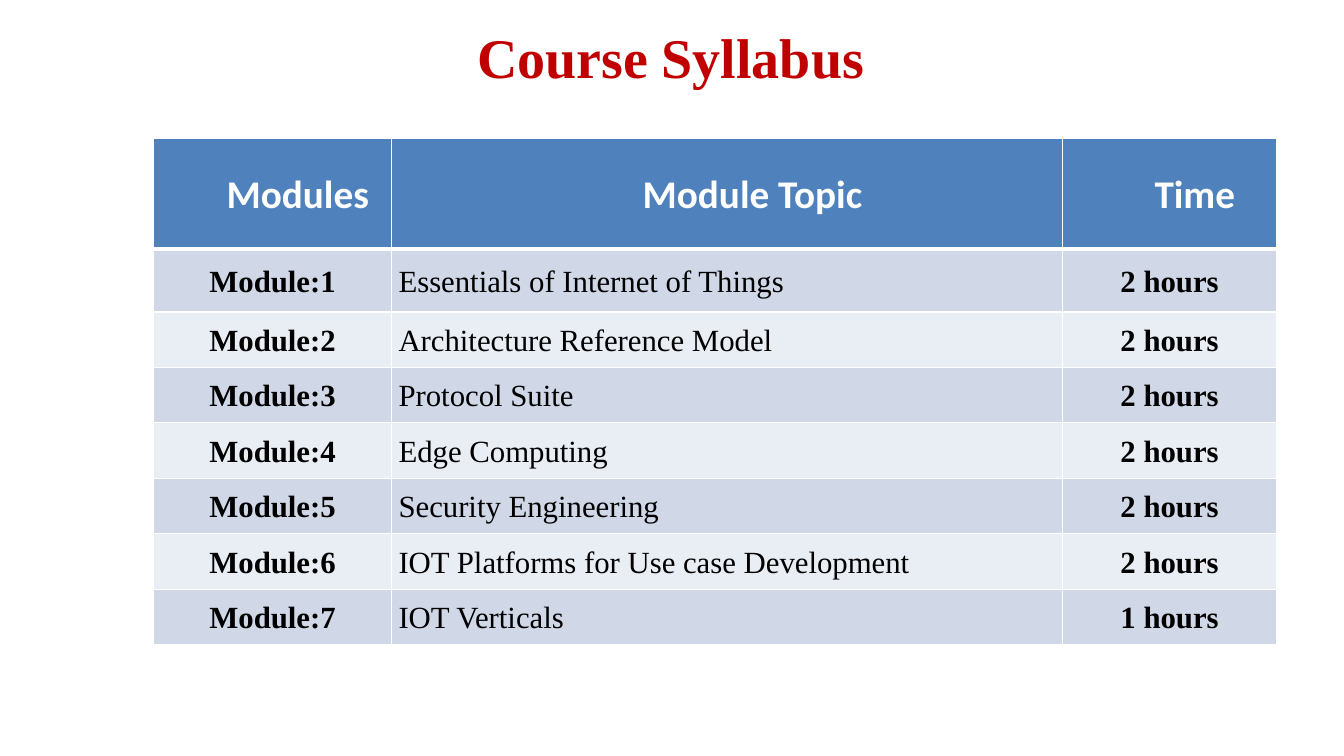
from dataclasses import dataclass

from lxml.etree import SubElement
from pptx import Presentation
from pptx.dml.color import RGBColor
from pptx.enum.text import MSO_ANCHOR as Anchor, PP_ALIGN as Align
from pptx.oxml.ns import qn
from pptx.slide import Slide
from pptx.table import Table, _Cell as Cell
from pptx.text.text import _Paragraph as Paragraph
from pptx.util import Pt

WHITE = RGBColor(0xFF, 0xFF, 0xFF)
BLACK = RGBColor(0, 0, 0)
RED = RGBColor(0xC0, 0, 0)
HEADER_BLUE = RGBColor(0x4F, 0x81, 0xBD)
BANDS = (RGBColor(0xD0, 0xD8, 0xE8), RGBColor(0xE9, 0xED, 0xF4))

COLUMN_WIDTHS = (170, 479.5, 152.5)
ROW_HEIGHTS = (79, 45) + (39.6,) * 6
HEADINGS = ("Modules", "Module Topic", "Time")
HEADING_INDENT = 36


@dataclass(frozen=True)
class Module:
    topic: str
    hours: int = 2


@dataclass(frozen=True)
class TextStyle:
    font: str
    size: float
    color: RGBColor
    bold: bool = True
    align: Align = Align.CENTER


TITLE = TextStyle("Times New Roman", 40, RED)
HEADING = TextStyle("Calibri", 28, WHITE)
LABEL = TextStyle("Times New Roman", 22, BLACK)
TOPIC = TextStyle("Times New Roman", 22, BLACK, bold=False, align=Align.LEFT)

MODULES = (
    Module("Essentials of Internet of Things"),
    Module("Architecture Reference Model"),
    Module("Protocol Suite"),
    Module("Edge Computing"),
    Module("Security Engineering"),
    Module("IOT Platforms for Use case Development"),
    Module("IOT Verticals", hours=1),
)


def write(paragraph: Paragraph, text: str, style: TextStyle) -> None:
    paragraph.alignment = style.align
    run = paragraph.add_run()
    run.text = text
    run.font.name = style.font
    run.font.size = Pt(style.size)
    run.font.bold = style.bold
    run.font.color.rgb = style.color


def add_borders(cell: Cell, top: float, bottom: float) -> None:
    """Draw white lines on all four sides; side lines are 1 pt wide."""
    properties = cell._tc.get_or_add_tcPr()
    for side, width in (("L", 1), ("R", 1), ("T", top), ("B", bottom)):
        line = SubElement(properties, qn(f"a:ln{side}"), w=str(Pt(width)))
        fill = SubElement(line, qn("a:solidFill"))
        SubElement(fill, qn("a:srgbClr"), val=str(WHITE))


def fill_row(table: Table, row: int, texts: tuple[str, ...],
             styles: tuple[TextStyle, ...], color: RGBColor) -> None:
    for column, (text, style) in enumerate(zip(texts, styles)):
        cell = table.cell(row, column)
        add_borders(cell, top=3 if row == 1 else 1, bottom=3 if row == 0 else 1)
        cell.fill.solid()
        cell.fill.fore_color.rgb = color
        cell.vertical_anchor = Anchor.MIDDLE
        cell.margin_left = cell.margin_right = Pt(5)
        cell.margin_top = cell.margin_bottom = Pt(0)
        paragraph = cell.text_frame.paragraphs[0]
        paragraph.line_spacing = 1.07
        write(paragraph, text, style)
        if row == 0:
            paragraph.level = 1
            paragraph._p.get_or_add_pPr().set("marL", str(Pt(HEADING_INDENT)))


def add_title(slide: Slide) -> None:
    box = slide.shapes.add_textbox(Pt(36.5), Pt(0), Pt(875), Pt(80))
    frame = box.text_frame
    frame.word_wrap = True
    frame.vertical_anchor = Anchor.MIDDLE
    paragraph = frame.paragraphs[0]
    paragraph.line_spacing = 1
    write(paragraph, " Course Syllabus", TITLE)


def add_syllabus(slide: Slide) -> None:
    table = slide.shapes.add_table(
        len(ROW_HEIGHTS), len(COLUMN_WIDTHS), Pt(109.7), Pt(98.9),
        Pt(sum(COLUMN_WIDTHS)), Pt(sum(ROW_HEIGHTS))).table
    for column, width in zip(table.columns, COLUMN_WIDTHS):
        column.width = Pt(width)
    for row, height in zip(table.rows, ROW_HEIGHTS):
        row.height = Pt(height)

    fill_row(table, 0, HEADINGS, (HEADING,) * 3, HEADER_BLUE)
    for number, module in enumerate(MODULES, start=1):
        texts = (f"Module:{number}", module.topic, f"{module.hours} hours")
        fill_row(table, number, texts, (LABEL, TOPIC, LABEL), BANDS[(number - 1) % 2])


def main() -> None:
    presentation = Presentation()
    presentation.slide_width = Pt(960)
    presentation.slide_height = Pt(540)
    slide = presentation.slides.add_slide(presentation.slide_layouts[6])
    add_title(slide)
    add_syllabus(slide)
    presentation.save("out.pptx")


if __name__ == "__main__":
    main()
